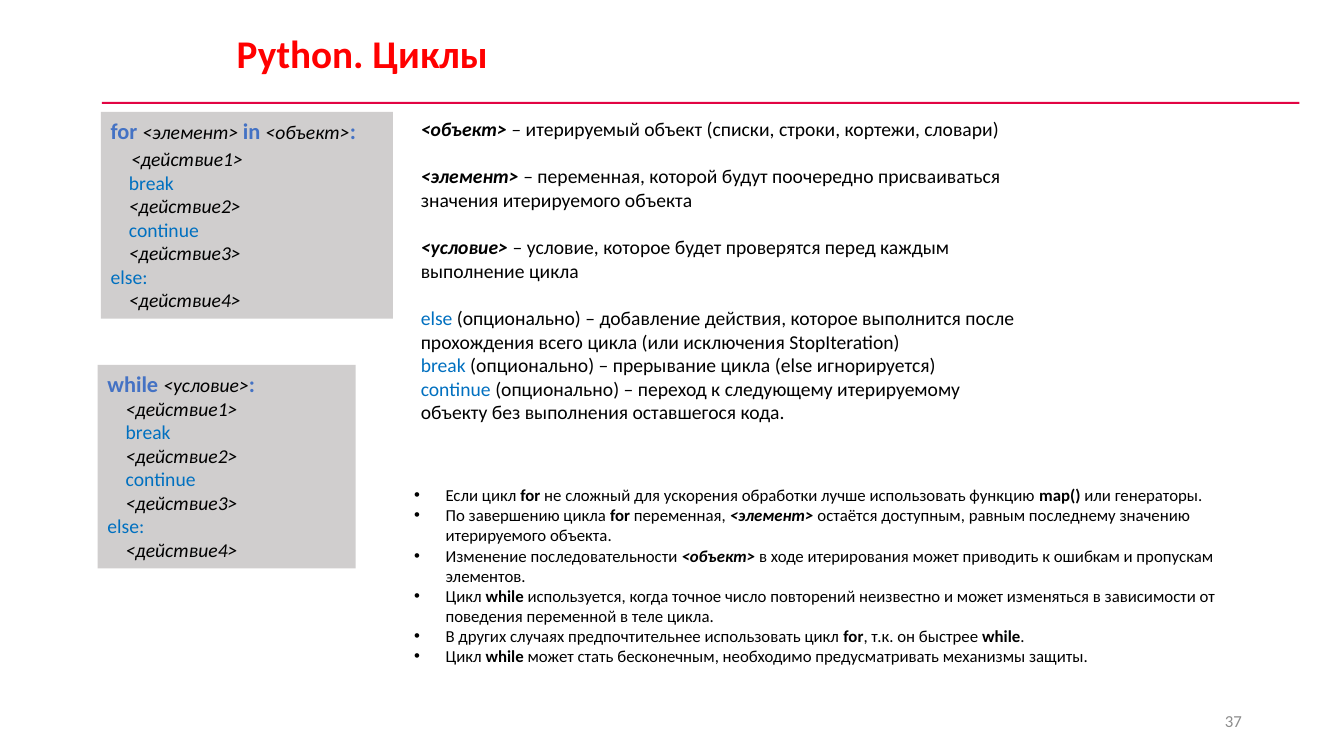
from dataclasses import dataclass
from lxml.etree import SubElement
from pptx import Presentation
from pptx.dml.color import RGBColor as Color
from pptx.enum.shapes import MSO_SHAPE as Preset
from pptx.enum.text import MSO_ANCHOR as Anchor, MSO_AUTO_SIZE as Fit, PP_ALIGN as Align
from pptx.oxml.ns import qn
from pptx.slide import Slide
from pptx.util import Pt


@dataclass(frozen=True)
class Theme:
    font: str = "Calibri"
    title: str = "FF0000"
    rule: str = "E20443"
    panel: str = "D0CECE"
    keyword: str = "4472C4"
    option: str = "0070C0"
    ink: str = "000000"
    muted: str = "8C8C8C"
    title_size: float = 28
    keyword_size: float = 16
    body_size: float = 14
    note_size: float = 12


THEME = Theme()


@dataclass(frozen=True)
class Style:
    size: float = THEME.body_size
    color: str = THEME.ink
    bold: bool = False
    italic: bool = False


PLAIN = Style()
SLOT = Style(italic=True)
TERM = Style(bold=True, italic=True)
OPTION = Style(color=THEME.option)
KEYWORD = Style(THEME.keyword_size, THEME.keyword, bold=True)
TITLE = Style(THEME.title_size, THEME.title, bold=True)
NUMBER = Style(THEME.note_size, THEME.muted)
NOTE = Style(THEME.note_size)
NOTE_BOLD = Style(THEME.note_size, bold=True)
NOTE_TERM = Style(THEME.note_size, bold=True, italic=True)


@dataclass(frozen=True)
class Span:
    text: str
    style: Style = PLAIN


@dataclass(frozen=True)
class Line:
    spans: list[Span]
    indent: float = 0
    before: float = 0
    bullet: bool = False
    align: Align = Align.LEFT


@dataclass(frozen=True)
class Block:
    left: float
    top: float
    width: float
    height: float
    lines: list[Line]
    fill: str = ""
    anchor: Anchor = Anchor.TOP
    fit: Fit = Fit.SHAPE_TO_FIT_TEXT


def loop_lines(head: list[Span], first_indent: float, first_before: float) -> list[Line]:
    steps = [
        Span("break", OPTION),
        Span("<действие2>", SLOT),
        Span("continue", OPTION),
        Span("<действие3>", SLOT),
    ]
    return [
        Line(head),
        Line([Span("<действие1>", SLOT)], first_indent, first_before),
        *(Line([step], indent=13) for step in steps),
        Line([Span("else:", OPTION)]),
        Line([Span("<действие4>", SLOT)], indent=13),
    ]


def note(*spans: Span) -> Line:
    return Line(list(spans), indent=22.5, bullet=True)


FOR_HEAD = [
    Span("for ", KEYWORD), Span("<элемент> ", SLOT), Span("in ", KEYWORD),
    Span("<объект>", SLOT), Span(":", KEYWORD),
]
WHILE_HEAD = [Span("while ", KEYWORD), Span("<условие>", SLOT), Span(":", KEYWORD)]

TERMS = [
    Line([Span("<объект> ", TERM), Span("– ", SLOT),
          Span("итерируемый объект (списки, строки, кортежи, словари)")]),
    Line([Span("<элемент> ", TERM),
          Span("– переменная, которой будут поочередно присваиваться "
               "значения итерируемого объекта")], before=17),
    Line([Span("<условие> ", TERM),
          Span("– условие, которое будет проверятся перед каждым выполнение цикла")], before=17),
    Line([Span("else", OPTION),
          Span(" (опционально) – добавление действия, которое выполнится после "
               "прохождения всего цикла (или исключения StopIteration)")], before=17),
    Line([Span("break", OPTION),
          Span(" (опционально) – прерывание цикла (else игнорируется)")]),
    Line([Span("continue ", OPTION),
          Span("(опционально) – переход к следующему итерируемому "
               "объекту без выполнения оставшегося кода.")]),
]

NOTES = [
    note(Span("Если цикл ", NOTE), Span("for", NOTE_BOLD),
         Span(" не сложный для ускорения обработки лучше использовать функцию ", NOTE),
         Span("map() ", NOTE_BOLD), Span("или генераторы.", NOTE)),
    note(Span("По завершению цикла ", NOTE), Span("for", NOTE_BOLD),
         Span(" переменная, ", NOTE), Span("<элемент> ", NOTE_TERM),
         Span("остаётся доступным, равным последнему значению итерируемого объекта.", NOTE)),
    note(Span("Изменение последовательности ", NOTE), Span("<объект> ", NOTE_TERM),
         Span("в ходе итерирования может приводить к ошибкам и пропускам элементов.", NOTE)),
    note(Span("Цикл ", NOTE), Span("while", NOTE_BOLD),
         Span(" используется, когда точное число повторений неизвестно и может изменяться "
              "в зависимости от поведения переменной в теле цикла.", NOTE)),
    note(Span("В других случаях предпочтительнее использовать цикл ", NOTE),
         Span("for", NOTE_BOLD), Span(", т.к. он быстрее ", NOTE),
         Span("while", NOTE_BOLD), Span(".", NOTE)),
    note(Span("Цикл ", NOTE), Span("while", NOTE_BOLD),
         Span(" может стать бесконечным, необходимо предусматривать механизмы защиты.", NOTE)),
]

BLOCKS = [
    Block(162, 17.3, 771, 41, [Line([Span("Python. Циклы", TITLE)])]),
    Block(678.2, 500.4, 216, 28.8, [Line([Span("37", NUMBER)], align=Align.RIGHT)],
          anchor=Anchor.MIDDLE, fit=Fit.NONE),
    Block(72, 80, 208.6, 147.6, loop_lines(FOR_HEAD, 14.5, 2.4), THEME.panel),
    Block(293.5, 80, 443.5, 227.5, TERMS),
    Block(69.7, 260.6, 184.3, 145.4, loop_lines(WHILE_HEAD, 13, 0), THEME.panel),
    Block(288.7, 342.7, 596.9, 138.2, NOTES),
]


def draw_rect(page: Slide, left: float, top: float, width: float, height: float, fill: str):
    rect = page.shapes.add_shape(Preset.RECTANGLE, Pt(left), Pt(top), Pt(width), Pt(height))
    rect.shadow.inherit = False
    rect.fill.solid()
    rect.fill.fore_color.rgb = Color.from_string(fill)
    rect.line.fill.background()
    return rect


def write_line(para, line: Line) -> None:
    para.alignment = line.align
    para.space_before = Pt(line.before)
    properties = para._p.get_or_add_pPr()
    properties.set("marL", str(Pt(line.indent)))
    properties.set("indent", str(Pt(-line.indent if line.bullet else 0)))
    if line.bullet:
        SubElement(properties, qn("a:buFont")).set("typeface", "Arial")
        SubElement(properties, qn("a:buChar")).set("char", "•")
    para.text = line.spans[0].text
    for span in line.spans[1:]:
        para.add_run().text = span.text
    for run, span in zip(para.runs, line.spans):
        run.font.name = THEME.font
        run.font.size = Pt(span.style.size)
        run.font.bold = span.style.bold
        run.font.italic = span.style.italic
        run.font.color.rgb = Color.from_string(span.style.color)


def draw_block(page: Slide, block: Block) -> None:
    place = block.left, block.top, block.width, block.height
    if block.fill:
        box = draw_rect(page, *place, block.fill)
    else:
        box = page.shapes.add_textbox(*map(Pt, place))
    frame = box.text_frame
    frame.word_wrap = True
    frame.auto_size = block.fit
    frame.vertical_anchor = block.anchor
    for index, line in enumerate(block.lines):
        write_line(frame.add_paragraph() if index else frame.paragraphs[0], line)


def main() -> None:
    deck = Presentation()
    deck.slide_width, deck.slide_height = Pt(960), Pt(540)
    page = deck.slides.add_slide(deck.slide_layouts[6])
    draw_rect(page, 72.7, 72.7, 855.4, 1.5, THEME.rule)
    for block in BLOCKS:
        draw_block(page, block)
    deck.save("out.pptx")


if __name__ == "__main__":
    main()
